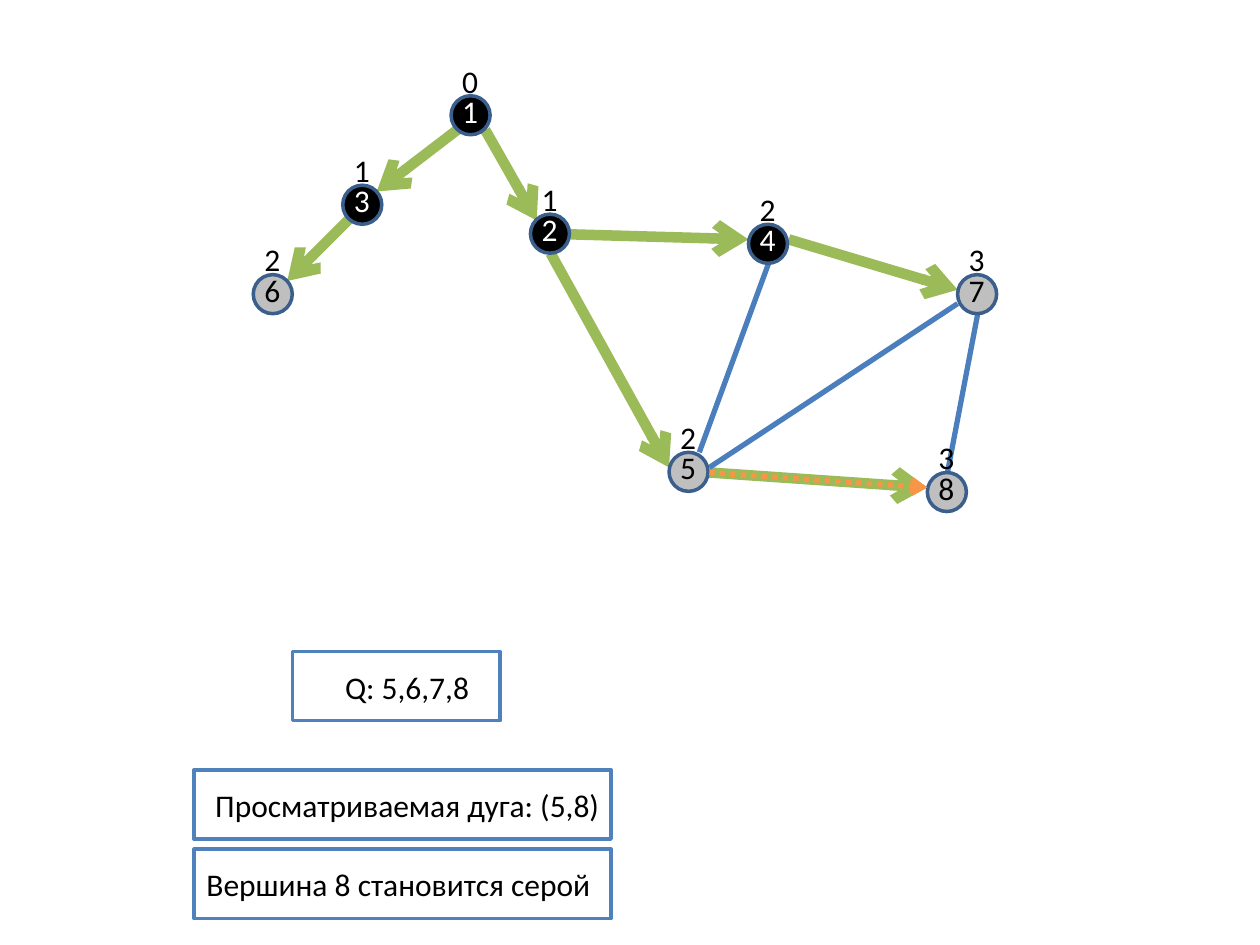
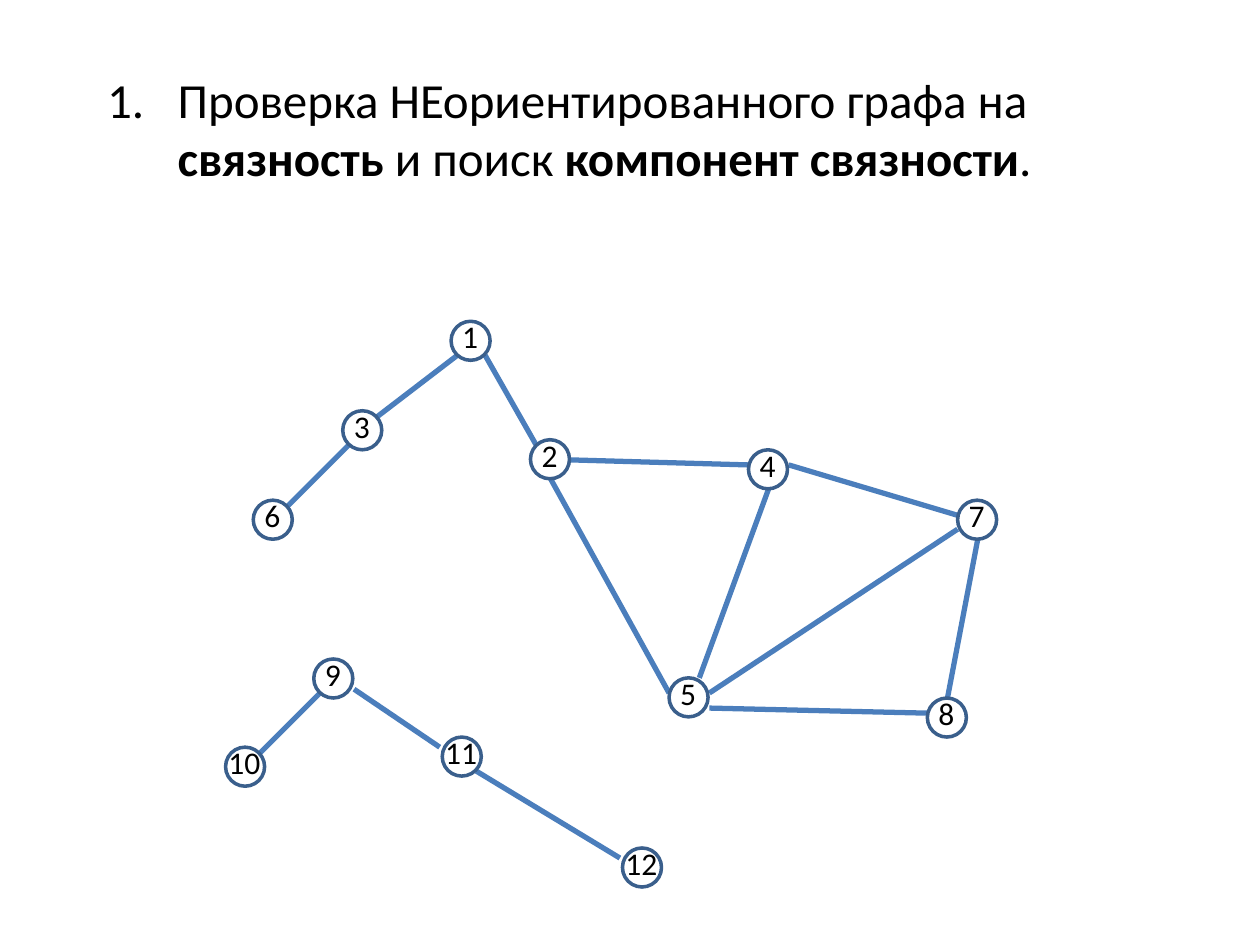
import pptx
import pptx.util
import pptx.dml.color
import pptx.enum.dml
import pptx.enum.shapes
import pptx.enum.text
import pptx.oxml.ns
import lxml.etree

Inches = pptx.util.Inches
Pt = pptx.util.Pt
KIND = pptx.enum.shapes.MSO_SHAPE
FONT = "Calibri"
HUES = {
    "black": "000000", "white": "FFFFFF", "gray": "BFBFBF",
    "frame": "4F81BD", "rim": "3A5F8C", "edge": "4B7EBC",
    "tree": "9BBB59", "look": "F79646",
}
RGB = {k: pptx.dml.color.RGBColor.from_string(v) for k, v in HUES.items()}

SIZE = 0.31  # node diameter
DROP = 1.79  # how far the graph sits lower on the second slide

# Top left corner of each node
NODES = {
    1: (3.58, 0.76), 2: (4.21, 1.70), 3: (2.72, 1.47), 4: (5.94, 1.78),
    5: (5.31, 3.59), 6: (2.01, 2.18), 7: (7.60, 2.18), 8: (7.36, 3.75),
}
PART = {9: (2.49, 5.23), 10: (1.79, 5.93), 11: (3.51, 5.85), 12: (4.94, 6.73)}
LEVELS = {1: 0, 2: 1, 3: 1, 4: 2, 5: 2, 6: 2, 7: 3, 8: 3}
DONE = {1, 2, 3, 4}

# Points on a node's rim, measured from its top left corner
RIM = {
    "top": (0.16, 0), "base": (0.16, 0.31), "right": (0.32, 0.16),
    "nw": (0.05, 0.05), "ne": (0.27, 0.05),
    "sw": (0.05, 0.27), "se": (0.27, 0.27),
    "left high": (0, 0.12), "left low": (0, 0.23), "left top": (-0.02, 0.08),
    "right high": (0.32, 0.12), "right low": (0.32, 0.24),
    "top right": (0.24, 0),
}
TREE = [
    (1, "sw", 3, "ne"), (3, "sw", 6, "ne"), (1, "se", 2, "nw"),
    (2, "right", 4, "left high"), (4, "right high", 7, "left high"),
    (2, "base", 5, "left high"),
]
REST = [
    (7, "base", 8, "top"), (4, "base", 5, "top right"),
    (7, "left low", 5, "right high"),
]
ARC = (5, "right", 8, "left high")
FLAT = (5, "right low", 8, "left high")
CHAIN = [
    (9, "sw", 10, "ne"), (9, "right low", 11, "left top"),
    (11, "se", 12, "left top"),
]


def write(slide, text, left, top, wide, hue="black", size=18):
    box = slide.shapes.add_textbox(Inches(left), Inches(top), Inches(wide), Inches(0.4))
    frame = box.text_frame
    frame.word_wrap = False
    frame.auto_size = pptx.enum.text.MSO_AUTO_SIZE.SHAPE_TO_FIT_TEXT
    run = frame.paragraphs[0].add_run()
    run.text = text
    run.font.name, run.font.size = FONT, Pt(size)
    run.font.color.rgb = RGB[hue]


def join(slide, nodes, edge, hue="edge", width=3, arrow=False):
    """Draw an edge between rim points of two nodes and return its line."""
    start, out, end, into = edge
    ends = [Inches(a + b) for node, spot in ((start, out), (end, into))
            for a, b in zip(nodes[node], RIM[spot])]
    link = slide.shapes.add_connector(pptx.enum.shapes.MSO_CONNECTOR.STRAIGHT, *ends)
    link.line.color.rgb = RGB[hue]
    link.line.width = Pt(width)
    if arrow:
        tail = lxml.etree.SubElement(link.line._get_or_add_ln(), pptx.oxml.ns.qn("a:tailEnd"))
        tail.set("type", "arrow")
    lxml.etree.SubElement(link._element.spPr, pptx.oxml.ns.qn("a:effectLst"))
    return link.line


deck = pptx.Presentation()
deck.slide_width, deck.slide_height = Inches(10), Inches(7.5)
walk = deck.slides.add_slide(deck.slide_layouts[6])
parts = deck.slides.add_slide(deck.slide_layouts[5])

# Edges lie below the nodes
for edge in TREE + [ARC]:
    join(walk, NODES, edge, hue="tree", width=6, arrow=True)
for edge in REST:
    join(walk, NODES, edge)

whole = {num: (x, y + DROP) for num, (x, y) in NODES.items()} | PART
for edge in TREE + REST + [FLAT] + CHAIN:
    join(parts, whole, edge)

# Nodes with their numbers, and their levels on the first slide
for slide, nodes in ((walk, NODES), (parts, whole)):
    for num, (x, y) in nodes.items():
        fill, ink = "white", "black"
        if slide is walk:
            fill, ink = ("black", "white") if num in DONE else ("gray", "black")
        dot = slide.shapes.add_shape(
            KIND.OVAL, Inches(x), Inches(y), Inches(SIZE), Inches(SIZE))
        dot.shadow.inherit = False
        dot.fill.solid()
        dot.fill.fore_color.rgb = RGB[fill]
        dot.line.color.rgb = RGB["rim"]
        dot.line.width = Pt(2)
        wide = 0.33 if num < 10 else 0.46
        left = x + (SIZE - wide) / 2
        write(slide, str(num), left, y - 0.08, wide, hue=ink)
        if slide is walk:
            write(slide, str(LEVELS[num]), left, y - 0.32, wide)

look = join(walk, NODES, ARC, hue="look", arrow=True)
look.dash_style = pptx.enum.dml.MSO_LINE.ROUND_DOT

# Framed notes: frame left, top, width, then text left, width
for text, left, top, wide, start, span in (
    ("Q: 5,6,7,8", 2.32, 5.17, 1.65, 2.64, 1.2),
    ("Просматриваемая дуга: (5,8)", 1.54, 6.11, 3.31, 1.61, 3.29),
    ("Вершина 8 становится серой", 1.54, 6.74, 3.31, 1.54, 3.29),
):
    note = walk.shapes.add_shape(
        KIND.RECTANGLE, Inches(left), Inches(top), Inches(wide), Inches(0.55))
    note.shadow.inherit = False
    note.fill.solid()
    note.fill.fore_color.rgb = RGB["white"]
    note.line.color.rgb = RGB["frame"]
    note.line.width = Pt(2)
    write(walk, text, start, top + 0.08, span)

# Numbered title
title = parts.shapes.title
title.left, title.top = Inches(0.75), Inches(0.21)
title.width, title.height = Inches(8.5), Inches(1.61)
frame = title.text_frame
frame.word_wrap = True
frame.auto_size = pptx.enum.text.MSO_AUTO_SIZE.NONE
frame.vertical_anchor = pptx.enum.text.MSO_ANCHOR.MIDDLE
para = frame.paragraphs[0]
para.alignment = pptx.enum.text.PP_ALIGN.LEFT
for text, bold in (
    ("Проверка НЕориентированного графа на ", False), ("связность", True),
    (" и поиск ", False), ("компонент связности", True), (".", False),
):
    run = para.add_run()
    run.text = text
    run.font.name, run.font.size, run.font.bold = FONT, Pt(28), bold
    run.font.color.rgb = RGB["black"]
props = para._p.get_or_add_pPr()
props.set("marL", str(Inches(0.56)))
props.set("indent", str(Inches(-0.56)))
mark = lxml.etree.SubElement(props, pptx.oxml.ns.qn("a:buFont"))
mark.set("typeface", "+mj-lt")
mark = lxml.etree.SubElement(props, pptx.oxml.ns.qn("a:buAutoNum"))
mark.set("type", "arabicPeriod")

deck.save("out.pptx")
